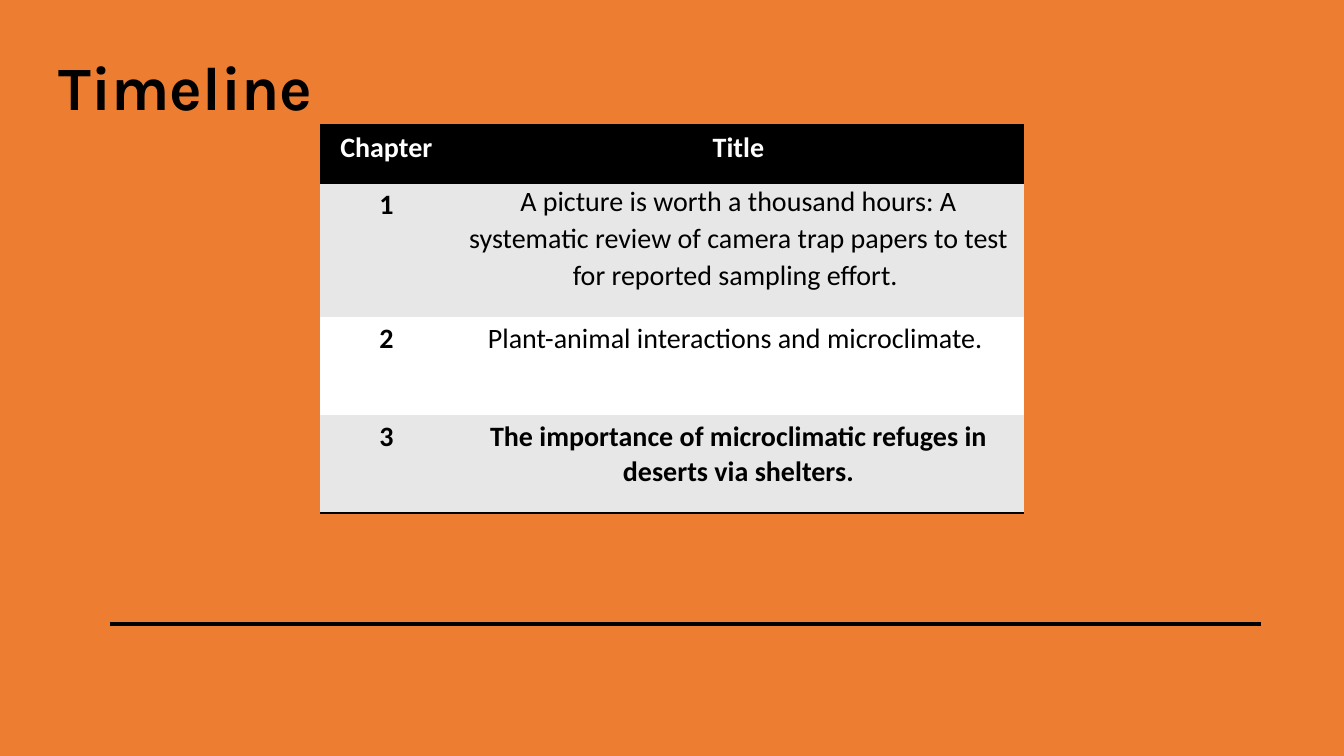
from lxml import etree
from pptx import Presentation
from pptx.dml.color import RGBColor
from pptx.enum.shapes import MSO_CONNECTOR, MSO_SHAPE
from pptx.enum.text import MSO_ANCHOR, MSO_AUTO_SIZE, PP_ALIGN
from pptx.oxml import parse_xml
from pptx.oxml.ns import nsdecls, qn
from pptx.util import Pt

COLORS = {"orange": "ED7D31", "black": "000000", "white": "FFFFFF", "gray": "E7E7E7"}


def color(name):
    return RGBColor.from_string(COLORS[name])


def format_font(font, name, size, bold, color_name):
    for attribute, value in {"name": name, "size": Pt(size), "bold": bold}.items():
        setattr(font, attribute, value)
    font.color.rgb = color(color_name)


presentation = Presentation()
presentation.slide_width = Pt(960)
presentation.slide_height = Pt(540)
slide = presentation.slides.add_slide(presentation.slide_layouts[5])
shapes = slide.shapes

background = shapes.add_shape(MSO_SHAPE.RECTANGLE, 0, 0, Pt(960), Pt(540))
background.shadow.inherit = False
background.fill.solid()
background.fill.fore_color.rgb = color("orange")
background.line.color.rgb = color("orange")
background.line.width = Pt(1)

title = shapes.title
title_box = {"left": 34.5, "top": 31, "width": 202.5, "height": 60.5}
for attribute, value in title_box.items():
    setattr(title, attribute, Pt(value))
title_frame = title.text_frame
title_format = {
    "text": "Timeline",
    "word_wrap": False,
    "auto_size": MSO_AUTO_SIZE.SHAPE_TO_FIT_TEXT,
    "vertical_anchor": MSO_ANCHOR.TOP,
}
for attribute, value in title_format.items():
    setattr(title_frame, attribute, value)
title_frame.paragraphs[0].alignment = PP_ALIGN.LEFT
format_font(title_frame.paragraphs[0].runs[0].font, "Karla", 44, True, "black")
shapes._spTree.append(title._element)

rows = [
    ("Chapter", "Title"),
    ("1", "A picture is worth a thousand hours: A systematic review of camera trap "
          "papers to test for reported sampling effort. "),
    ("2", "Plant-animal interactions and microclimate. "),
    ("3", "The importance of microclimatic refuges in deserts via shelters."),
]
row_heights = [41, 96, 70, 70]
row_fills = ["black", "gray", "white", "gray"]
row_borders = [("lnT", "lnB"), (), (), ("lnB",)]
column_widths = [95, 408]

table = shapes.add_table(
    len(rows), len(column_widths), Pt(228.5), Pt(89.5), Pt(sum(column_widths)), Pt(sum(row_heights))
).table
table.horz_banding = False
style_id = table._tbl.tblPr.find(qn("a:tableStyleId"))
style_id.text = "{2D5ABB26-0587-4C30-8999-92F81FD0307C}"
for column, width in zip(table.columns, column_widths):
    column.width = Pt(width)

for row_index, texts in enumerate(rows):
    table.rows[row_index].height = Pt(row_heights[row_index])
    for column_index, text in enumerate(texts):
        cell = table.cell(row_index, column_index)
        cell.text = text
        cell.fill.solid()
        cell.fill.fore_color.rgb = color(row_fills[row_index])
        paragraph = cell.text_frame.paragraphs[0]
        paragraph.alignment = PP_ALIGN.CENTER
        bold = column_index == 0 or row_index in (0, 3)
        text_color = "white" if row_index == 0 else "black"
        format_font(paragraph.runs[0].font, "Calibri", 20, bold, text_color)
        for position, side in enumerate(row_borders[row_index]):
            border = parse_xml(
                f'<a:{side} {nsdecls("a")} w="{Pt(2)}"><a:solidFill>'
                f'<a:srgbClr val="{COLORS["black"]}"/></a:solidFill></a:{side}>'
            )
            cell._tc.get_or_add_tcPr().insert(position, border)

review_cell = table.cell(1, 1)
review_margins = {"margin_left": 5, "margin_top": 0, "margin_right": 5, "margin_bottom": 0}
for attribute, value in review_margins.items():
    setattr(review_cell, attribute, Pt(value))
review_cell.text_frame.paragraphs[0].line_spacing = 1.07

timeline = shapes.add_connector(MSO_CONNECTOR.STRAIGHT, Pt(78.5), Pt(445.7), Pt(900.7), Pt(445.7))
timeline.line.color.rgb = color("black")
timeline.line.width = Pt(2.25)
etree.SubElement(timeline._element.spPr, qn("a:effectLst"))

presentation.save("out.pptx")
